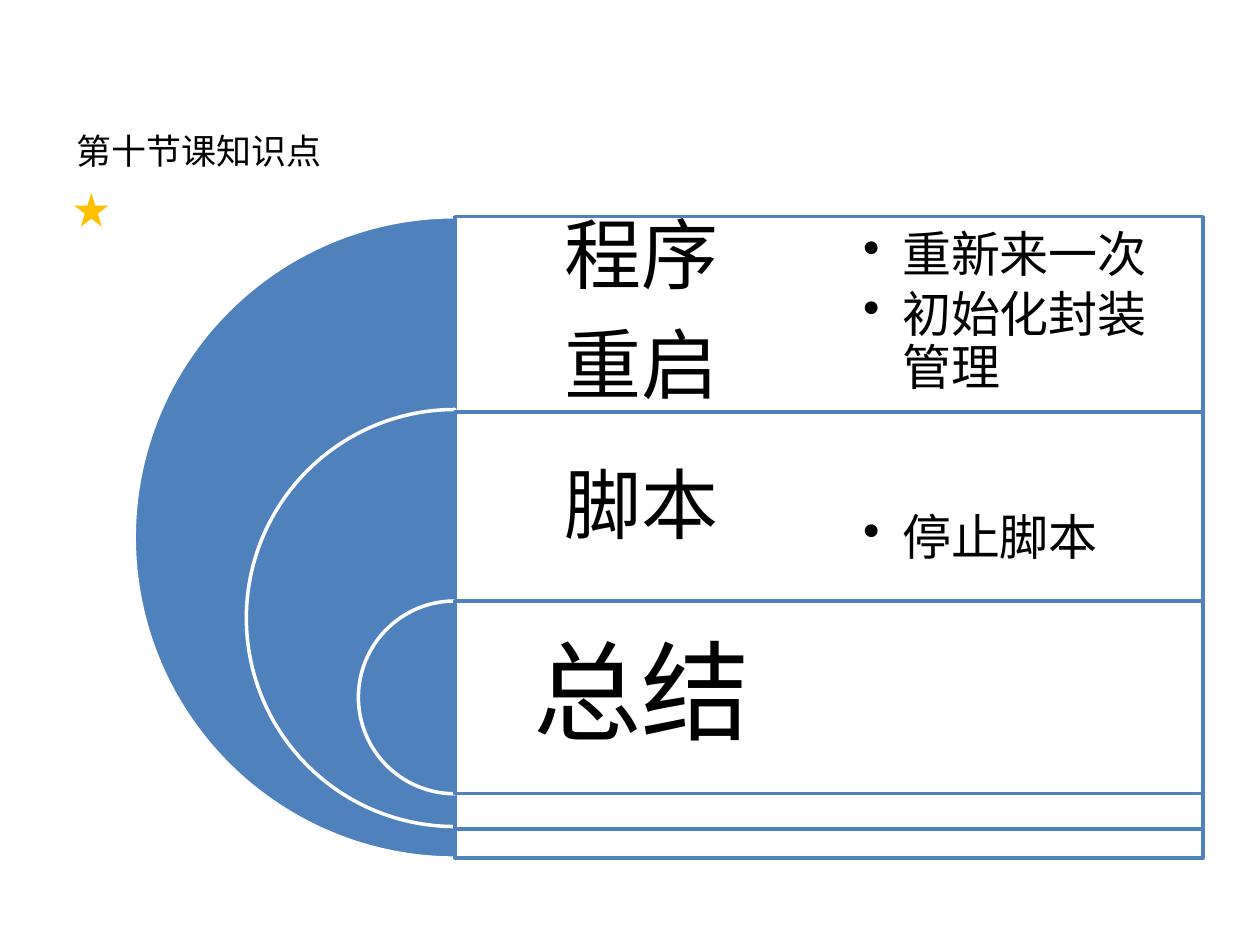
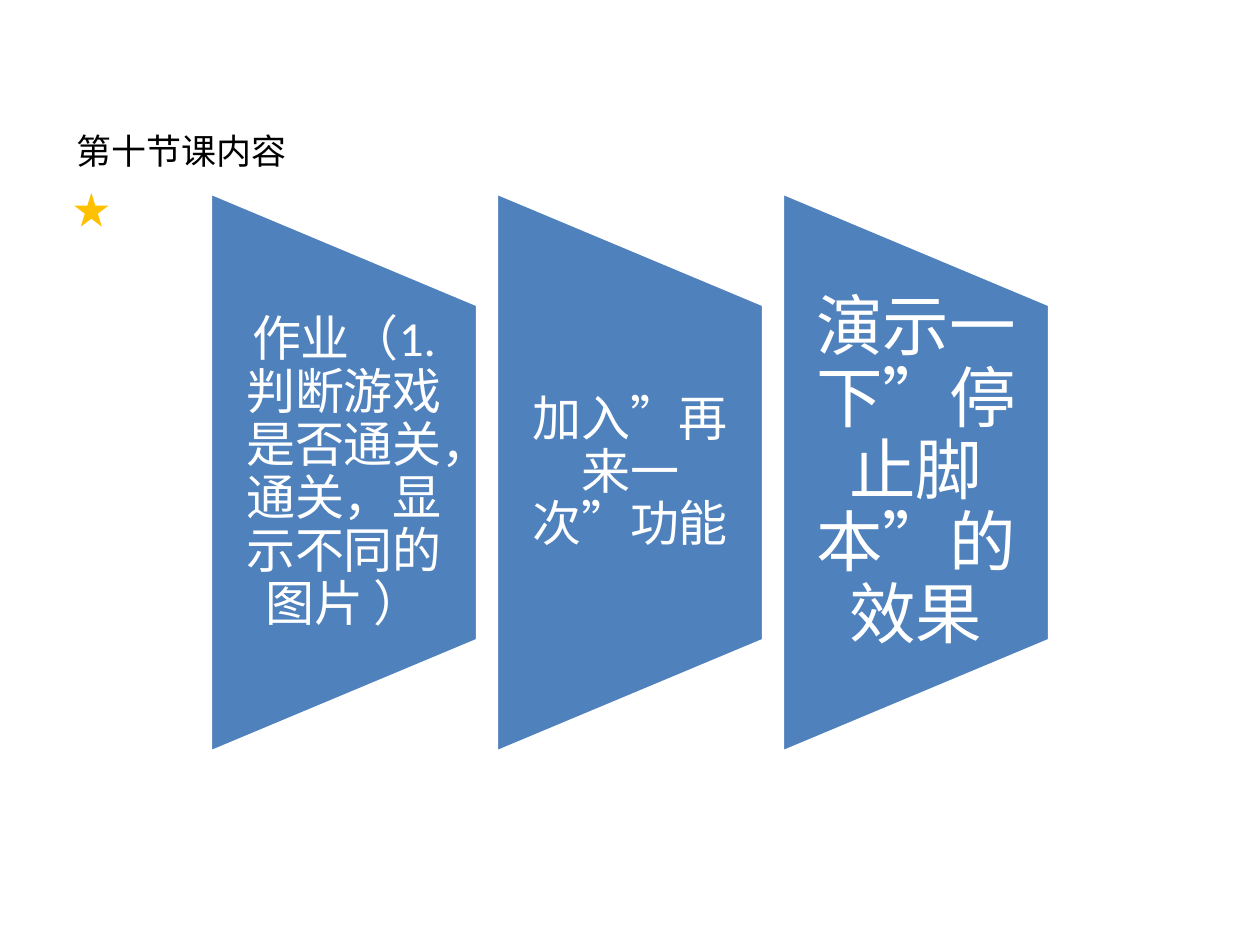
"""Build the two slides of lesson ten: key points and contents."""
import pptx
import pptx.util
import pptx.dml.color
import pptx.enum.shapes
import pptx.enum.text
import pptx.oxml.ns
import lxml.etree

Inches = pptx.util.Inches
Pt = pptx.util.Pt
SHAPE = pptx.enum.shapes.MSO_SHAPE
ALIGN = pptx.enum.text.PP_ALIGN
qn = pptx.oxml.ns.qn

COLORS = {"blue": "4F81BD", "white": "FFFFFF", "black": "000000", "gold": "FFC000"}
LATIN, CJK = "Calibri", "Noto Sans CJK SC"


def rgb(name):
    """Return the named colour."""
    return pptx.dml.color.RGBColor.from_string(COLORS[name])


class Deck:
    """Holds the presentation, its style and the current slide."""

    def __init__(self):
        """Start an empty 4:3 presentation."""
        self.prs = pptx.Presentation()
        self.prs.slide_width, self.prs.slide_height = Inches(10), Inches(7.5)
        self.s = None

    def slide(self, title):
        """Add a slide with its title and gold star."""
        self.s = self.prs.slides.add_slide(self.prs.slide_layouts[6])
        width = 0.14 + 0.29 * len(title)
        tf = self.s.shapes.add_textbox(*map(Inches, (0.51, 0.98, width, 0.44))).text_frame
        tf.word_wrap = False
        tf.auto_size = pptx.enum.text.MSO_AUTO_SIZE.SHAPE_TO_FIT_TEXT
        tf.text = title
        self.font(tf.paragraphs[0], 20, "black", CJK)
        self.shape(SHAPE.STAR_5_POINT, (0.59, 1.53, 0.27, 0.27), "gold", None)

    def font(self, p, size, color, name=LATIN):
        """Format every run of a paragraph."""
        for r in p.runs:
            r.font.size, r.font.name = Pt(size), name
            r.font.color.rgb = rgb(color)
            lxml.etree.SubElement(r.font._element, qn("a:ea"), typeface=CJK)

    def shape(self, kind, box, fill, line, opacity=None):
        """Add a filled preset shape; opacity is in percent."""
        sp = self.s.shapes.add_shape(kind, *map(Inches, box))
        sp.shadow.inherit = False
        sp.fill.solid()
        sp.fill.fore_color.rgb = rgb(fill)
        if opacity:
            color = sp._element.spPr.find(qn("a:solidFill"))[0]
            lxml.etree.SubElement(color, qn("a:alpha"), val=str(opacity * 1000))
        if line:
            sp.line.color.rgb = rgb(line)
            sp.line.width = Pt(2)
        else:
            sp.line.fill.background()
        return sp

    def half_disc(self, center_x, top, size):
        """Add the left half of a disc."""
        sp = self.shape(SHAPE.PIE, (center_x - size / 2, top, size, size), "blue", "white")
        sp.adjustments[0], sp.adjustments[1] = 54, 162

    def trapezoid(self, left, top, width, height):
        """Add a trapezoid whose long side stands at the left."""
        turned = (left + (width - height) / 2, top + (height - width) / 2, height, width)
        sp = self.shape(SHAPE.FLOWCHART_MANUAL_OPERATION, turned, "blue", "white")
        sp.rotation = 270

    def text(self, box, lines, size, insets, color="black", bullets=False):
        """Add a middle-anchored text box, centred or bulleted."""
        tf = self.s.shapes.add_textbox(*map(Inches, box)).text_frame
        tf.word_wrap = True
        tf.vertical_anchor = pptx.enum.text.MSO_ANCHOR.MIDDLE
        tf.margin_left, tf.margin_top, tf.margin_right, tf.margin_bottom = map(Inches, insets)
        tf.text = "\n".join(lines)
        for p in tf.paragraphs:
            p.line_spacing = 0.9
            self.space_after(p, 15 if bullets else 35)
            if bullets:
                self.bullet(p)
            else:
                p.alignment = ALIGN.CENTER
            self.font(p, size, color)

    def space_after(self, p, percent):
        """Set the space after a paragraph in percent of its text size."""
        p.space_after = Pt(0)
        after = p._p.pPr.find(qn("a:spcAft"))
        after.remove(after[0])
        lxml.etree.SubElement(after, qn("a:spcPct"), val=str(percent * 1000))

    def bullet(self, p):
        """Give a paragraph a hanging bullet."""
        p.level = 1
        pPr = p._p.get_or_add_pPr()
        pPr.set("marL", str(Inches(0.31)))
        pPr.set("indent", str(Inches(-0.31)))
        lxml.etree.SubElement(pPr, qn("a:buChar"), char="•")


deck = Deck()

# Key points: nested half discs, each with a row of heading and details
deck.slide("第十节课知识点")
LEFT, COLUMN, ROW = 3.61, 2.97, 1.53
rows = [  # disc top, panel top, size, heading, text size, inset
    (1.72, 1.72, 5.09, ["程序", "重启"], 44, 0.18),
    (3.25, 3.27, 3.31, ["脚本"], 44, 0.18),
    (4.77, 4.77, 1.53, ["总结"], 62, 0.26),
]
for disc_top, top, size, heading, text_size, inset in rows:
    deck.half_disc(LEFT, disc_top, size)
    deck.shape(SHAPE.RECTANGLE, (LEFT, top, 2 * COLUMN, size), "white", "blue", 90)
    deck.text((LEFT, top, COLUMN, ROW), heading, text_size, [inset] * 4)
details = [  # top, lines, insets
    (1.72, ["重新来一次", "初始化封装管理"], [0.27] * 4),
    (3.25, ["停止脚本"], (0.27, 0.54, 0.27, 0)),
]
for top, lines, insets in details:
    deck.text((LEFT + COLUMN, top, COLUMN, ROW), lines, 28, insets, bullets=True)

# Contents: three trapezoids in a row
deck.slide("第十节课内容")
steps = [  # text, size, side inset
    ("作业（1.判断游戏是否通关，通关，显示不同的图片 ）", 28, 0.19),
    ("加入”再来一次”功能", 28, 0.19),
    ("演示一下”停止脚本”的效果", 38, 0.26),
]
STEP_WIDTH, STEP_GAP = 2.12, 0.15
for i, (words, size, side) in enumerate(steps):
    left = 1.67 + i * (STEP_WIDTH + STEP_GAP)
    deck.trapezoid(left, 1.53, STEP_WIDTH, 4.44)
    deck.text((left, 2.42, STEP_WIDTH, 2.67), [words], size, (side, 0, side, 0), "white")

deck.prs.save("out.pptx")
